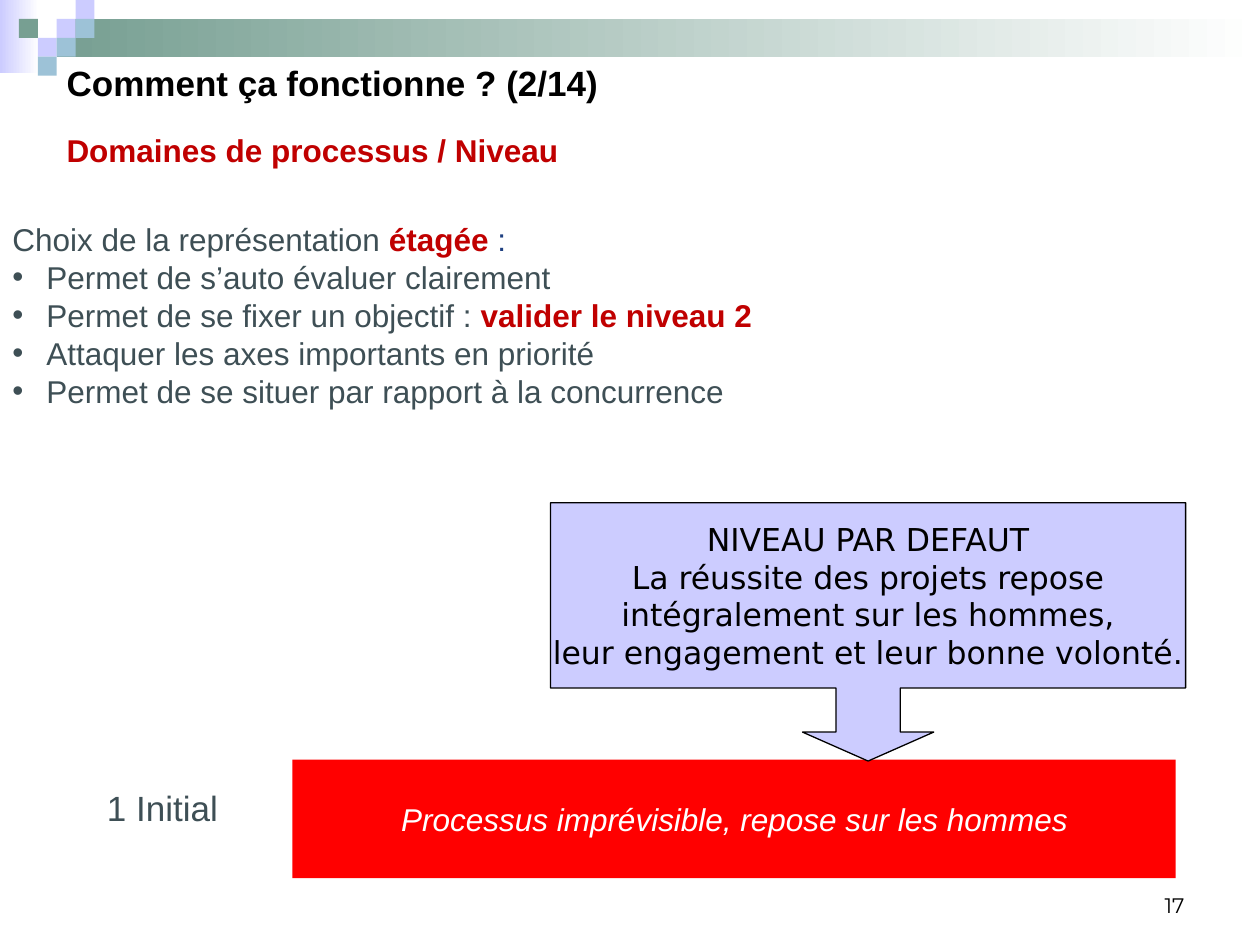
from lxml import etree
from pptx import Presentation
from pptx.dml.color import RGBColor
from pptx.enum.shapes import MSO_SHAPE as SHAPE
from pptx.enum.text import MSO_ANCHOR as ANCHOR, PP_ALIGN as ALIGN
from pptx.oxml.ns import qn
from pptx.util import Inches, Pt

COLS, ROWS = 100, 75
WIDTH, HEIGHT = Inches(10), Inches(7.5)
TILE = 1.5

BLACK = RGBColor(0x00, 0x00, 0x00)
WHITE = RGBColor(0xFF, 0xFF, 0xFF)
RED = RGBColor(0xFF, 0x00, 0x00)
CRIMSON = RGBColor(0xC0, 0x00, 0x00)
SLATE = RGBColor(0x3E, 0x4F, 0x55)
NAVY = RGBColor(0x1F, 0x40, 0x81)
LILAC = RGBColor(0xCC, 0xCC, 0xFF)
SAGE = RGBColor(0x77, 0x9F, 0x92)
SKY = RGBColor(0x9D, 0xC2, 0xD7)


def place(x, y, w, h):
    """Turn a box in grid columns and rows into slide lengths."""
    cw, rh = WIDTH / COLS, HEIGHT / ROWS
    return int(x * cw), int(y * rh), int(w * cw), int(h * rh)


def add_block(s, box, color, fade=False, kind=SHAPE.RECTANGLE):
    """Add a borderless shape, plain or fading to white on the right."""
    sp = s.shapes.add_shape(kind, *place(*box))
    sp.shadow.inherit = False
    sp.line.fill.background()
    if fade:
        sp.fill.gradient()
        sp.fill.gradient_angle = 0
        for stop, c in zip(sp.fill.gradient_stops, (color, WHITE)):
            stop.color.rgb = c
    else:
        sp.fill.solid()
        sp.fill.fore_color.rgb = color
    return sp


def add_run(p, text, color, size=18, font="Arial", bold=False, italic=False):
    """Append one formatted run to a paragraph."""
    r = p.add_run()
    r.text = text
    f = r.font
    f.name, f.size, f.bold, f.italic = font, Pt(size), bold, italic
    f.color.rgb = color


def set_indent(p, hang, bullet=None):
    """Give a paragraph a hanging indent in inches and an optional bullet."""
    pPr = p._p.get_or_add_pPr()
    pPr.set("marL", str(Inches(hang)))
    pPr.set("indent", str(-Inches(hang)))
    if bullet:
        etree.SubElement(pPr, qn("a:buFont")).set("typeface", "Arial")
        etree.SubElement(pPr, qn("a:buChar")).set("char", bullet)


def add_text(s, box, wrap=True, anchor=ANCHOR.TOP):
    """Add a text box and return its text frame."""
    tf = s.shapes.add_textbox(*place(*box)).text_frame
    tf.word_wrap = wrap
    tf.vertical_anchor = anchor
    return tf


def add_banner(s, x, y):
    """Draw the fading bars and the tile mosaic from a top left corner."""
    add_block(s, (x, y, 3.1, 5.8), LILAC, fade=True)
    add_block(s, (x + 3 * TILE, y + TILE, COLS - 3 * TILE, 2 * TILE), SAGE, fade=True)
    tiles = ((3, 1, LILAC), (4, 0, LILAC), (4, 1, SKY), (2, 2, LILAC),
             (1, 1, SAGE), (3, 2, SKY), (2, 3, SKY))
    for col, row, color in tiles:
        add_block(s, (x + col * TILE, y + row * TILE, TILE, TILE), color)


def add_headings(s, x, y):
    """Write the title and, below it, the subtitle."""
    tf = add_text(s, (x, y, 44.5, 4.4), wrap=False)
    add_run(tf.paragraphs[0], "Comment ça fonctionne ? (2/14)", BLACK, 20, bold=True)
    tf = add_text(s, (x, y + 5.5, 41.4, 4), wrap=False)
    add_run(tf.paragraphs[0], "Domaines de processus / Niveau", CRIMSON, bold=True)


def add_reasons(s, box):
    """Write the lead sentence and its bulleted reasons."""
    tf = add_text(s, box)
    p = tf.paragraphs[0]
    set_indent(p, 0.38)
    add_run(p, "Choix de la représentation ", SLATE)
    add_run(p, "étagée", CRIMSON, bold=True)
    add_run(p, " :", NAVY)
    reasons = (("Permet de s’auto évaluer clairement", ""),
               ("Permet de se fixer un objectif : ", "valider le niveau 2"),
               ("Attaquer les axes importants en priorité", ""),
               ("Permet de se situer par rapport à la concurrence", ""))
    for text, stress in reasons:
        p = tf.add_paragraph()
        p.level = 1
        set_indent(p, 0.27, "•")
        add_run(p, text, SLATE)
        if stress:
            add_run(p, stress, CRIMSON, bold=True)


def add_level(s, x, y, w, h):
    """Draw the level band with its label on the left."""
    add_block(s, (x, y, w, h), RED)
    p = add_text(s, (x - 15.7, y + 1.6, 11.8, 5.2)).paragraphs[0]
    set_indent(p, 0.38)
    add_run(p, "1 Initial", SLATE, 20)
    p = add_text(s, (x + 3.2, y + 2.7, w - 6.3, 5.2)).paragraphs[0]
    p.alignment = ALIGN.CENTER
    set_indent(p, 0.38)
    add_run(p, "Processus imprévisible, repose sur les hommes", WHITE, italic=True)


def add_callout(s, box):
    """Draw the callout that points down to the level band."""
    sp = add_block(s, box, LILAC, kind=SHAPE.DOWN_ARROW_CALLOUT)
    for i, value in enumerate((0.249, 0.254, 0.112, 0.717)):
        sp.adjustments[i] = value
    sp.line.color.rgb = BLACK
    sp.line.width = Pt(0.75)
    tf = sp.text_frame
    tf.word_wrap = False
    tf.vertical_anchor = ANCHOR.MIDDLE
    lines = ("NIVEAU PAR DEFAUT", "La réussite des projets repose",
             " intégralement sur les hommes, ",
             "leur engagement et leur bonne volonté.")
    for i, text in enumerate(lines):
        p = tf.add_paragraph() if i else tf.paragraphs[0]
        p.alignment = ALIGN.CENTER
        add_run(p, text, BLACK, font="DejaVu Sans")


def add_page_number(s, box):
    """Write the page number at the bottom right."""
    p = add_text(s, box, anchor=ANCHOR.BOTTOM).paragraphs[0]
    p.alignment = ALIGN.RIGHT
    add_run(p, "17", BLACK, 12, "Montserrat")


def main():
    """Build the slide and save it."""
    prs = Presentation()
    prs.slide_width, prs.slide_height = WIDTH, HEIGHT
    s = prs.slides.add_slide(prs.slide_layouts[6])
    add_banner(s, 0, 0)
    add_page_number(s, (71.7, 68.3, 23.3, 5))
    add_headings(s, 4.3, 4.4)
    add_reasons(s, (0, 17, 64.2, 10))
    add_level(s, 23.2, 60.3, 70.1, 9.4)
    add_callout(s, (43.7, 39.9, 50.4, 20.5))
    prs.save("out.pptx")


if __name__ == "__main__":
    main()
